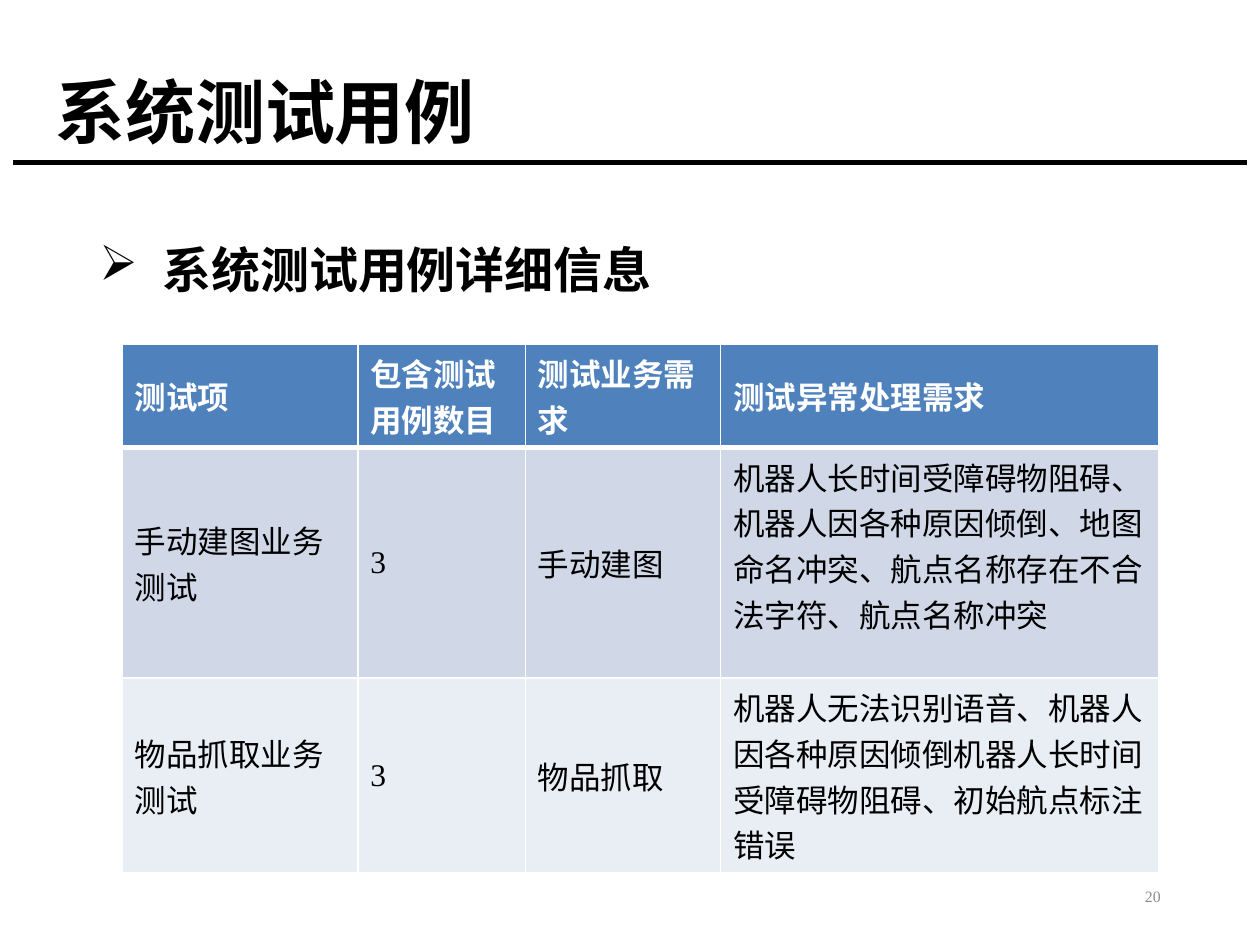
from lxml import etree
from pptx import Presentation
from pptx.dml.color import RGBColor
from pptx.enum import shapes, text
from pptx.oxml.ns import qn
from pptx.util import Inches, Pt

TITLE = "系统测试用例"
SUBTITLE = "系统测试用例详细信息"
PAGE_NUMBER = "20"
ROWS = [
    ["测试项", "包含测试用例数目", "测试业务需求", "测试异常处理需求"],
    ["手动建图业务测试", "3", "手动建图",
     "机器人长时间受障碍物阻碍、机器人因各种原因倾倒、地图命名冲突、"
     "航点名称存在不合法字符、航点名称冲突"],
    ["物品抓取业务测试", "3", "物品抓取",
     "机器人无法识别语音、机器人因各种原因倾倒机器人长时间受障碍物阻碍、"
     "初始航点标注错误"],
]
COLUMN_WIDTHS = [1.87, 1.33, 1.55, 3.48]
ROW_HEIGHTS = [0.82, 1.83, 1.55]
ROW_FILLS = ["4F81BD", "D0D8E8", "E9EDF4"]
BODY_FONT = "Times New Roman"
MIDDLE = text.MSO_ANCHOR.MIDDLE


def color(value):
    return RGBColor.from_string(value)


def write(frame, words, size, ink="000000", bold=False, font=BODY_FONT):
    para = frame.paragraphs[0]
    span = para.add_run()
    span.text = words
    span.font.name = font
    span.font.size = Pt(size)
    span.font.bold = bold
    span.font.color.rgb = color(ink)
    return para


def add_box(page, left, top, width, height, anchor=MIDDLE):
    box = page.shapes.add_textbox(*map(Inches, (left, top, width, height)))
    frame = box.text_frame
    frame.word_wrap = True
    frame.vertical_anchor = anchor
    return frame


def set_borders(cell, bottom):
    properties = cell._tc.get_or_add_tcPr()
    widths = {"a:lnL": 1, "a:lnR": 1, "a:lnT": 1, "a:lnB": bottom}
    for position, (tag, width) in enumerate(widths.items()):
        line = etree.Element(qn(tag), w=str(Pt(width)))
        fill = etree.SubElement(line, qn("a:solidFill"))
        etree.SubElement(fill, qn("a:srgbClr"), val="FFFFFF")
        properties.insert(position, line)


deck = Presentation()
deck.slide_width, deck.slide_height = Inches(10), Inches(7.5)
page = deck.slides.add_slide(deck.slide_layouts[6])

# Rule under the title
rule = page.shapes.add_connector(
    shapes.MSO_CONNECTOR.STRAIGHT,
    Inches(0.1), Inches(1.29), Inches(9.9), Inches(1.29))
rule.line.color.rgb = color("000000")
rule.line.width = Pt(3)
etree.SubElement(rule._element.spPr, qn("a:effectLst"))

# Title
para = write(add_box(page, 0.34, 0.39, 8.62, 1.06), TITLE, 40,
             bold=True, font="Calibri")
para.line_spacing = 0.9

# Subtitle with an arrow bullet (Ø is the arrow in Wingdings)
frame = add_box(page, 0.69, 1.62, 8.62, 5.01, text.MSO_ANCHOR.TOP)
para = write(frame, SUBTITLE, 28, bold=True)
para.line_spacing = 1.5
para.space_before = Pt(7.5)
properties = para._p.get_or_add_pPr()
properties.set("marL", str(Inches(0.5)))
properties.set("indent", str(-Inches(0.5)))
etree.SubElement(properties, qn("a:buFont"), typeface="Wingdings",
                 pitchFamily="2", charset="2")
etree.SubElement(properties, qn("a:buChar"), char="Ø")

# Page number
para = write(add_box(page, 7.06, 6.91, 2.25, 0.4), PAGE_NUMBER, 9, "8C8C8C")
para.alignment = text.PP_ALIGN.RIGHT

# Test case table
table = page.shapes.add_table(
    len(ROWS), len(COLUMN_WIDTHS), Inches(0.97), Inches(2.73),
    Inches(sum(COLUMN_WIDTHS)), Inches(sum(ROW_HEIGHTS))).table
for column, width in zip(table.columns, COLUMN_WIDTHS):
    column.width = Inches(width)
for r, (row, height) in enumerate(zip(table.rows, ROW_HEIGHTS)):
    row.height = Inches(height)
    header = r == 0
    for cell, words in zip(row.cells, ROWS[r]):
        cell.vertical_anchor = MIDDLE
        cell.fill.solid()
        cell.fill.fore_color.rgb = color(ROW_FILLS[r])
        set_borders(cell, 3 if header else 1)
        write(cell.text_frame, words, 18,
              "FFFFFF" if header else "000000", header)

# Extra room under the longest entry
table.cell(1, 3).margin_bottom = Inches(0.33)

deck.save("out.pptx")
